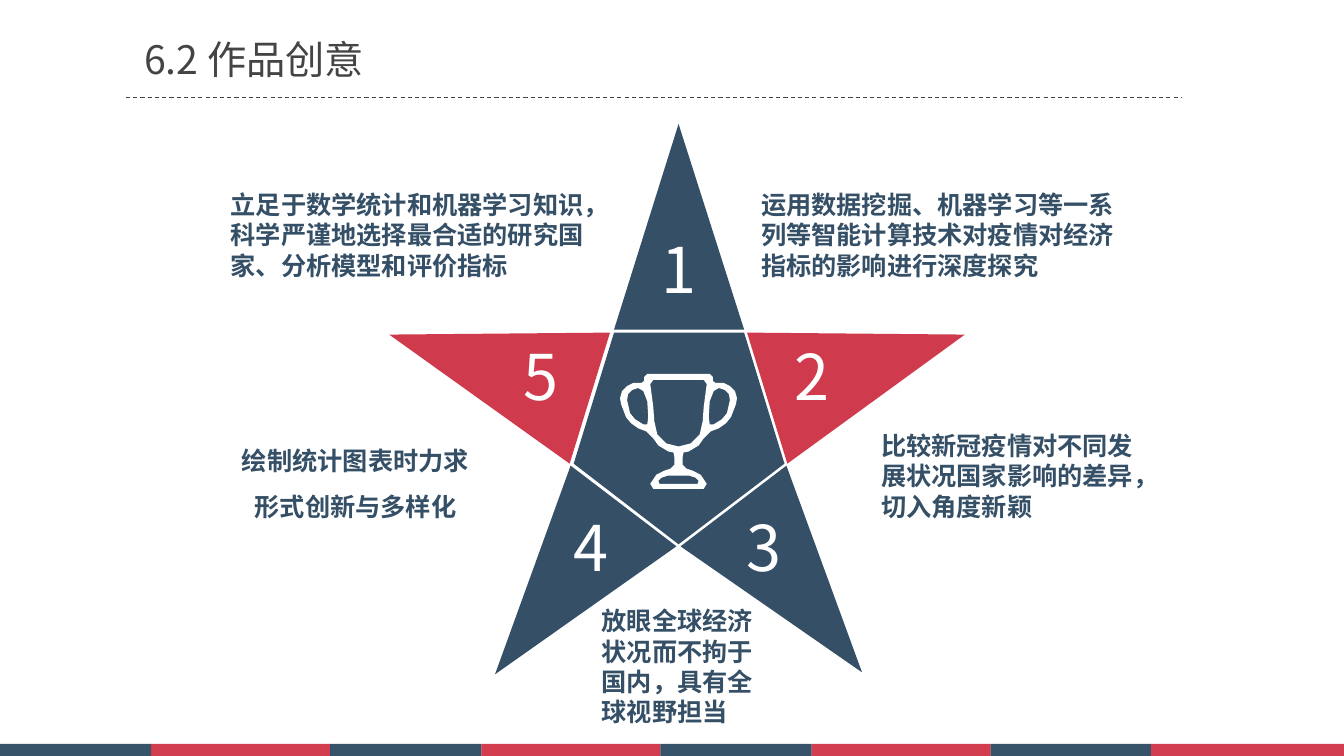
import itertools

import lxml.etree
import pptx
import pptx.dml.color
import pptx.enum.dml
import pptx.enum.shapes
import pptx.enum.text
import pptx.oxml.ns
import pptx.util

RGBColor = pptx.dml.color.RGBColor
Align = pptx.enum.text.PP_ALIGN
Anchor = pptx.enum.text.MSO_ANCHOR
AutoSize = pptx.enum.text.MSO_AUTO_SIZE

NAVY = RGBColor(0x34, 0x4F, 0x66)
RED = RGBColor(0xCF, 0x3B, 0x4C)
WHITE = RGBColor(0xFF, 0xFF, 0xFF)
GREY = RGBColor(0x44, 0x44, 0x44)
BAND_NAVY = RGBColor(0x06, 0x28, 0x45)
BAND_RED = RGBColor(0xC7, 0x0E, 0x23)
FONT = "Noto Sans CJK SC"

# The slide is a grid of 1333 columns by 750 rows.
COLUMNS, ROWS = 1333, 750
CELL = pptx.util.Inches(0.01)

TITLE = "6.2 作品创意"
TITLE_BOX = (143, 35, 399, 47)
RULE = (125, 97, 1172, 97)
BAND_TOP = 738
BAND_WIDTHS = [150, 177.5] * 3 + [159, 191.5]

# text, box, alignment, line spacing
NOTES = [
    ("立足于数学统计和机器学习知识，科学严谨地选择最合适的研究国家、分析模型和评价指标",
     (219, 183, 383, 101), Align.LEFT, 1),
    ("运用数据挖掘、机器学习等一系列等智能计算技术对疫情对经济指标的影响进行深度探究",
     (745, 183, 379, 101), Align.LEFT, 1),
    ("比较新冠疫情对不同发展状况国家影响的差异，切入角度新颖",
     (864, 422, 285, 101), Align.LEFT, 1),
    ("放眼全球经济状况而不拘于国内，具有全球视野担当",
     (587, 596, 172, 131), Align.LEFT, 1),
    ("绘制统计图表时力求形式创新与多样化",
     (223, 422, 259, 101), Align.CENTER, 1.5),
]

STAR_CORE = [(738, 330), (609, 330), (569, 460), (673, 540), (778, 460)]
# number, corners, colour, insets, anchor, alignment
STAR_POINTS = [
    ("1", [(609, 327), (673, 123), (738, 327)], NAVY, (10, 87, 10, 5), Anchor.MIDDLE, Align.CENTER),
    ("2", [(741, 330), (957, 332), (781, 460)], RED, (47, 5, 10, 5), Anchor.TOP, Align.LEFT),
    ("3", [(780, 462), (855, 667), (675, 542)], NAVY, (10, 5, 24, 51), Anchor.MIDDLE, Align.CENTER),
    ("4", [(671, 542), (491, 669), (566, 462)], NAVY, (20, 5, 10, 51), Anchor.MIDDLE, Align.CENTER),
    ("5", [(565, 460), (386, 332), (605, 330)], RED, (91, 5, 10, 5), Anchor.TOP, Align.CENTER),
]

# Right halves of the trophy: distance from its axis, row
AXIS = 673
TROPHY_EDGE = [
    (0, 371), (31, 371), (34, 374), (34, 378), (37, 380), (45, 380), (51, 383), (56, 388),
    (58, 395), (57, 401), (52, 414), (47, 420), (40, 425), (32, 428), (25, 435), (20, 442),
    (10, 448), (5, 449), (4, 454), (4, 461), (8, 465), (14, 467), (22, 471), (28, 480),
    (25, 485), (0, 485),
]
TROPHY_BOWL = [(0, 377), (25, 377), (28, 381), (25, 404), (24, 418), (21, 431), (12, 440), (0, 443)]
TROPHY_FOOT = [(0, 472), (11, 472), (17, 474), (20, 477), (19, 480), (0, 480)]
TROPHY_HANDLE = [(51, 397), (50, 391), (46, 387), (40, 385), (35, 388), (31, 398),
                 (30, 414), (31, 421), (35, 421), (43, 416), (48, 410)]


def cells(values):
    return [round(value * CELL) for value in values]


def format_text(shape, text, font, paragraph_format, frame_format, insets=(10, 5, 10, 5)):
    frame = shape.text_frame
    frame.text = text
    sides = ("margin_left", "margin_top", "margin_right", "margin_bottom")
    frame_format = {"word_wrap": True, **frame_format, **dict(zip(sides, cells(insets)))}
    paragraph = frame.paragraphs[0]
    run = paragraph.runs[0]
    for target, values in ((frame, frame_format), (paragraph, paragraph_format),
                           (run.font, {"name": FONT, **font})):
        for name, value in values.items():
            if name == "color":
                target.color.rgb = value
            else:
                setattr(target, name, value)
    east_asian = lxml.etree.SubElement(run.font._element, pptx.oxml.ns.qn("a:ea"))
    east_asian.set("typeface", FONT)


def paint(shape, colour):
    shape.shadow.inherit = False
    shape.fill.solid()
    shape.fill.fore_color.rgb = colour
    shape.line.fill.background()


def add_outline(shapes, contours, colour):
    """Draw closed contours as one shape; inner contours become holes."""
    contours = [[cells(point) for point in contour] for contour in contours]
    builder = shapes.build_freeform(*contours[0][0], scale=1.0)
    builder.add_line_segments(contours[0][1:], close=True)
    for start, *rest in contours[1:]:
        builder.move_to(*start)
        builder.add_line_segments(rest, close=True)
    shape = builder.convert_to_shape()
    paint(shape, colour)
    return shape


def side(half, sign):
    return [(AXIS + sign * distance, row) for distance, row in half]


def mirrored(half):
    return side(half, 1) + side(half, -1)[-2:0:-1]


def add_band(slide):
    starts = itertools.accumulate(BAND_WIDTHS, initial=0)
    colours = itertools.cycle((BAND_NAVY, BAND_RED))
    for start, width, colour in zip(starts, BAND_WIDTHS, colours):
        block = slide.shapes.add_shape(pptx.enum.shapes.MSO_SHAPE.RECTANGLE,
                                       *cells((start, BAND_TOP, width, ROWS - BAND_TOP)))
        paint(block, colour)
        colour_element = block._element.spPr.find(".//" + pptx.oxml.ns.qn("a:srgbClr"))
        lxml.etree.SubElement(colour_element, pptx.oxml.ns.qn("a:alpha")).set("val", "80000")


def add_heading(slide):
    title = slide.shapes.title
    title.left, title.top, title.width, title.height = cells(TITLE_BOX)
    format_text(title, TITLE, {"size": pptx.util.Pt(28), "color": GREY},
                {"alignment": Align.LEFT},
                {"vertical_anchor": Anchor.TOP, "auto_size": AutoSize.NONE}, (0, 0, 0, 0))
    rule = slide.shapes.add_connector(pptx.enum.shapes.MSO_CONNECTOR.STRAIGHT, *cells(RULE))
    rule.line.color.rgb = GREY
    rule.line.width = pptx.util.Pt(0.75)
    rule.line.dash_style = pptx.enum.dml.MSO_LINE.DASH
    lxml.etree.SubElement(rule._element.spPr, pptx.oxml.ns.qn("a:effectLst"))


def add_star(slide):
    shapes = slide.shapes.add_group_shape().shapes
    add_outline(shapes, [STAR_CORE], NAVY)
    for number, corners, colour, insets, anchor, alignment in STAR_POINTS:
        point = add_outline(shapes, [corners], colour)
        format_text(point, number, {"size": pptx.util.Pt(45), "color": WHITE},
                    {"alignment": alignment}, {"vertical_anchor": anchor}, insets)
    trophy = [mirrored(half) for half in (TROPHY_EDGE, TROPHY_BOWL, TROPHY_FOOT)]
    trophy += [side(TROPHY_HANDLE, sign) for sign in (1, -1)]
    add_outline(shapes, trophy, WHITE)


def add_notes(slide):
    for text, box, alignment, spacing in NOTES:
        note = slide.shapes.add_textbox(*cells(box))
        format_text(note, text, {"size": pptx.util.Pt(18), "bold": True, "color": NAVY},
                    {"alignment": alignment, "line_spacing": spacing},
                    {"auto_size": AutoSize.SHAPE_TO_FIT_TEXT})


def main():
    presentation = pptx.Presentation()
    presentation.slide_width, presentation.slide_height = cells((COLUMNS, ROWS))
    slide = presentation.slides.add_slide(presentation.slide_layouts.get_by_name("Title Only"))
    add_band(slide)
    add_heading(slide)
    add_star(slide)
    add_notes(slide)
    presentation.save("out.pptx")


if __name__ == "__main__":
    main()
